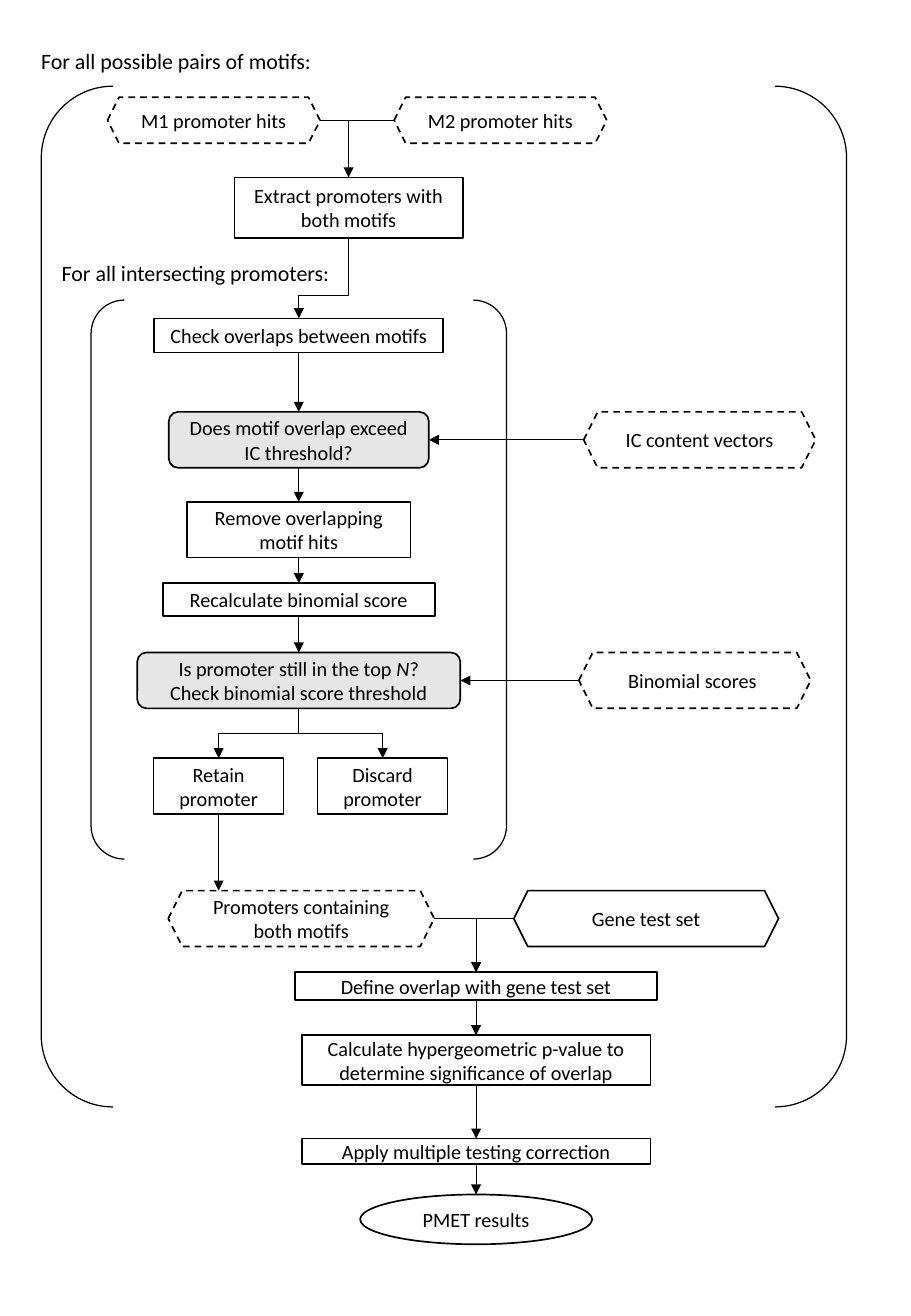
from lxml.etree import SubElement
from pptx import Presentation
from pptx.dml.color import RGBColor
from pptx.enum.dml import MSO_LINE
from pptx.enum.shapes import MSO_CONNECTOR, MSO_SHAPE
from pptx.enum.text import MSO_ANCHOR, PP_ALIGN
from pptx.oxml.ns import qn
from pptx.util import Inches, Pt

THEME = {
    "font": "Calibri", "heading": Pt(13), "label": Pt(12),
    "ink": RGBColor(0, 0, 0), "paper": RGBColor(255, 255, 255),
    "decision": RGBColor(0xE7, 0xE6, 0xE6),
    "outline": Pt(1), "bracket": Pt(0.75), "flow": Pt(0.5),
}

# Column centres of the flow chart, in inches
RETAIN, LOOP, PAIR, DISCARD, TEST = 1.8, 2.46, 2.87, 3.15, 3.92
M1, M2, GENES, SCORES, VECTORS = 1.76, 4.12, 5.32, 5.72, 5.76
# Row heights, in inches
LOW, TALL = 0.27, 0.46

deck = Presentation()
deck.slide_width, deck.slide_height = Inches(7.5), Inches(10.83)
slide = deck.slides.add_slide(deck.slide_layouts[6])


def write(shape, text, size, align):
    shape.text_frame.text = text
    for paragraph in shape.text_frame.paragraphs:
        paragraph.alignment = align
        for run in paragraph.runs:
            run.font.name, run.font.size = THEME["font"], size
            run.font.color.rgb = THEME["ink"]


def flow(start, end, route="straight", bend=0.5, arrow=True):
    """Routes: straight, corner (across, then down), step (down, across, down)."""
    (x1, y1), (x2, y2) = start, end
    kind = MSO_CONNECTOR.STRAIGHT if route == "straight" else MSO_CONNECTOR.ELBOW
    if route == "step":  # an elbow runs sideways, so lay it out flat and turn it
        middle_x, middle_y = (x1 + x2) // 2, (y1 + y2) // 2
        run, rise = (y2 - y1) // 2, abs(x2 - x1) // 2
        side = 1 if x2 < x1 else -1
        line = slide.shapes.add_connector(
            kind, middle_x - side * run, middle_y - rise,
            middle_x + side * run, middle_y + rise)
        properties = line._element.spPr
        properties.find(qn("a:xfrm")).set("rot", str(side * 90 * 60000 % 21600000))
        guides = properties.find(qn("a:prstGeom")).find(qn("a:avLst"))
        SubElement(guides, qn("a:gd"), name="adj1", fmla=f"val {round(bend * 100000)}")
    else:
        line = slide.shapes.add_connector(kind, x1, y1, x2, y2)
        properties = line._element.spPr
        if route == "corner":
            properties.find(qn("a:prstGeom")).set("prst", "bentConnector2")
    line.line.color.rgb, line.line.width = THEME["ink"], THEME["flow"]
    if arrow:
        SubElement(properties.find(qn("a:ln")), qn("a:tailEnd"), type="triangle")
    SubElement(properties, qn("a:effectLst"))


# Loop headings
for heading, left, top, width in [
    ("For all possible pairs of motifs:", 0.24, 0.34, 2.46),
    ("For all intersecting promoters:", 0.41, 2.09, 2.44),
]:
    caption = slide.shapes.add_textbox(*map(Inches, (left, top, width, 0.32)))
    caption.text_frame.word_wrap = False
    write(caption, heading, THEME["heading"], PP_ALIGN.LEFT)

# Brackets around the two loops
for left, top, width, height, curve in [
    (0.34, 0.71, 6.63, 8.4, 0.089),
    (0.75, 2.47, 3.42, 4.6, 0.08),
]:
    bracket = slide.shapes.add_shape(
        MSO_SHAPE.DOUBLE_BRACKET, *map(Inches, (left, top, width, height)))
    bracket.adjustments[0] = curve
    bracket.shadow.inherit = False
    bracket.fill.background()
    bracket.line.color.rgb, bracket.line.width = THEME["ink"], THEME["bracket"]

# Steps: key, text, style, column centre, top, width, height
STYLES = {  # preset, fill, dashed
    "step": (MSO_SHAPE.RECTANGLE, "paper", False),
    "decision": (MSO_SHAPE.ROUNDED_RECTANGLE, "decision", False),
    "data": (MSO_SHAPE.HEXAGON, "paper", True),
    "input": (MSO_SHAPE.HEXAGON, "paper", False),
    "result": (MSO_SHAPE.OVAL, "paper", False),
}
steps = {}
for key, text, style, column, top, width, height in [
    ("m1", "M1 promoter hits", "data", M1, 0.8, 1.75, 0.38),
    ("m2", "M2 promoter hits", "data", M2, 0.8, 1.75, 0.38),
    ("extract", "Extract promoters with both motifs", "step", PAIR, 1.46, 1.88, 0.5),
    ("check", "Check overlaps between motifs", "step", LOOP, 2.62, 2.38, 0.28),
    ("exceed", "Does motif overlap exceed IC threshold?", "decision",
     LOOP, 3.39, 2.14, TALL),
    ("vectors", "IC content vectors", "data", VECTORS, 3.39, 1.91, TALL),
    ("remove", "Remove overlapping motif hits", "step", LOOP, 4.13, 1.84, TALL),
    ("rescore", "Recalculate binomial score", "step", LOOP, 4.8, 2.24, LOW),
    ("top", "Is promoter still in the top N?\nCheck binomial score threshold",
     "decision", LOOP, 5.37, 2.66, TALL),
    ("scores", "Binomial scores ", "data", SCORES, 5.37, 1.91, TALL),
    ("retain", "Retain promoter", "step", RETAIN, 6.24, 1.07, TALL),
    ("discard", "Discard promoter", "step", DISCARD, 6.24, 1.07, TALL),
    ("both", "Promoters containing both motifs", "data", 2.48, 7.33, 2.19, TALL),
    ("genes", "Gene test set", "input", GENES, 7.33, 2.18, TALL),
    ("define", "Define overlap with gene test set", "step", TEST, 8, 2.98, 0.23),
    ("pvalue", "Calculate hypergeometric p-value to determine significance of overlap",
     "step", TEST, 8.52, 2.87, 0.41),
    ("correct", "Apply multiple testing correction", "step", TEST, 9.37, 2.87, 0.21),
    ("results", "PMET results", "result", TEST, 9.83, 1.91, 0.41),
]:
    preset, fill, dashed = STYLES[style]
    step = steps[key] = slide.shapes.add_shape(
        preset, *map(Inches, (column - width / 2, top, width, height)))
    step.shadow.inherit = False
    step.fill.solid()
    step.fill.fore_color.rgb = THEME[fill]
    step.line.color.rgb, step.line.width = THEME["ink"], THEME["outline"]
    if dashed:
        step.line.dash_style = MSO_LINE.DASH
    step.text_frame.word_wrap = True
    step.text_frame.vertical_anchor = MSO_ANCHOR.MIDDLE
    write(step, text, THEME["label"], PP_ALIGN.CENTER)

# The N in the second decision is italic
question = steps["top"].text_frame.paragraphs[0]
question.runs[0].text = "Is promoter still in the top "
for part in ("N", "?"):
    run = question.add_run()
    run.text = part
    run.font.name, run.font.size = THEME["font"], THEME["label"]
    run.font.color.rgb, run.font.italic = THEME["ink"], part == "N"

# Anchor points on each step
tops, bottoms, lefts, rights = {}, {}, {}, {}
for key, step in steps.items():
    centre, middle = step.left + step.width // 2, step.top + step.height // 2
    tops[key], bottoms[key] = (centre, step.top), (centre, step.top + step.height)
    lefts[key], rights[key] = (step.left, middle), (step.left + step.width, middle)

# Downward flow
for chain in (["check", "exceed", "remove", "rescore", "top"],
              ["define", "pvalue", "correct", "results"]):
    for upper, lower in zip(chain, chain[1:]):
        flow(bottoms[upper], tops[lower])
flow(bottoms["retain"], (bottoms["retain"][0], steps["both"].top))

# Stepped flow into the loop and out to the two outcomes
for upper, lower, bend in [("extract", "check", 0.72), ("top", "retain", 0.5),
                           ("top", "discard", 0.5)]:
    flow(bottoms[upper], tops[lower], "step", bend)

# Inputs joining from the sides
flow(rights["m1"], lefts["m2"], arrow=False)
flow((tops["extract"][0], rights["m1"][1]), tops["extract"])
flow(lefts["vectors"], rights["exceed"])
flow(lefts["scores"], rights["top"])
flow(lefts["genes"], tops["define"], "corner")
flow(rights["both"], tops["define"], "corner")

deck.save("out.pptx")
